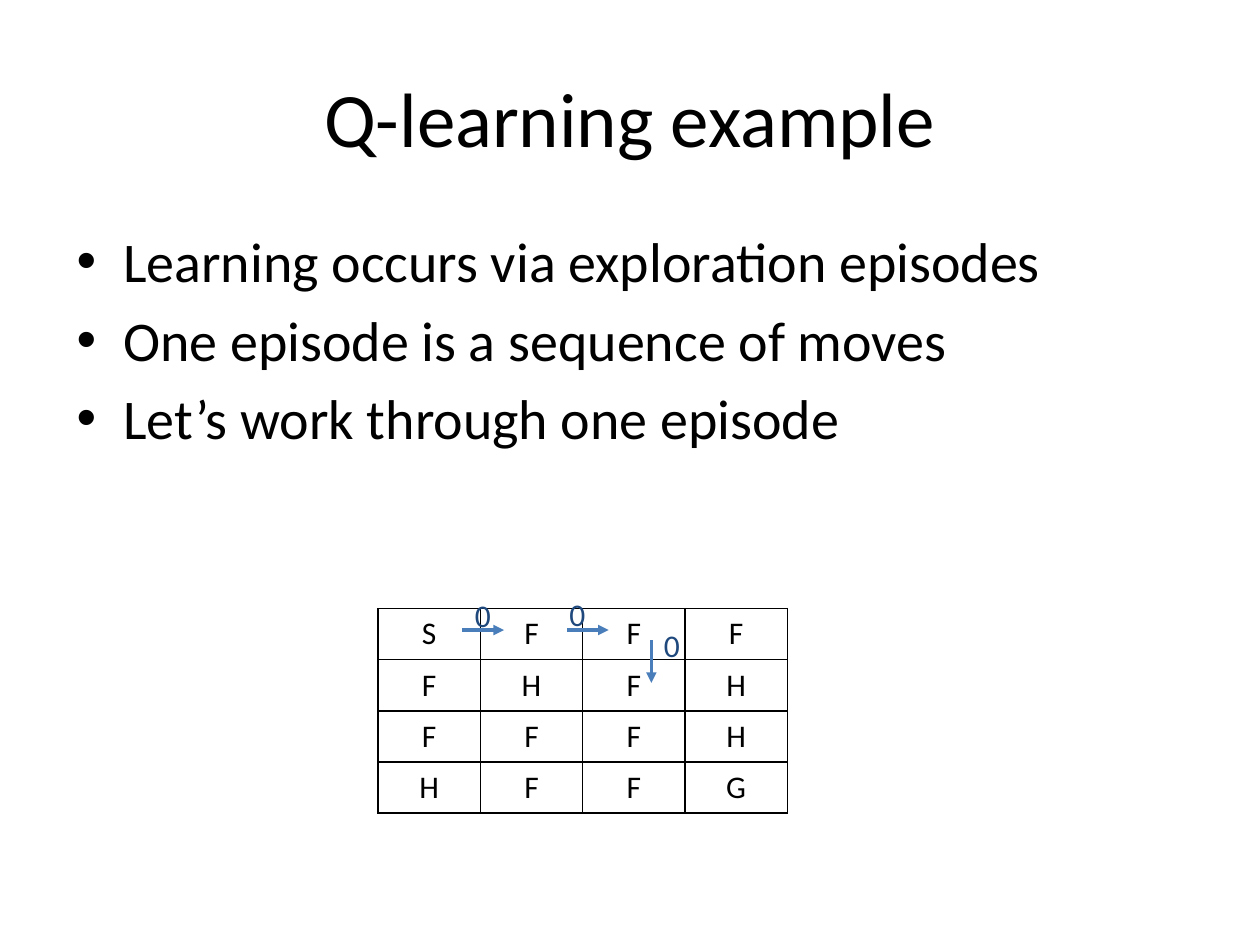
from pptx import Presentation
from pptx.dml.color import RGBColor
from pptx.enum.shapes import MSO_CONNECTOR
from pptx.enum.text import MSO_ANCHOR, PP_ALIGN
from pptx.oxml.ns import qn
from pptx.util import Inches, Pt
from lxml.etree import SubElement

TITLE = "Q-learning example"
POINTS = [
    "Learning occurs via exploration episodes",
    "One episode is a sequence of moves",
    "Let’s work through one episode",
]
GRID = ["SFFF", "FHFH", "FFFH", "HFFG"]
MOVES = [
    {"start": (3.67, 5), "end": (4, 5), "label": (3.67, 4.68), "value": "0"},
    {"start": (4.5, 5), "end": (4.83, 5), "label": (4.42, 4.67), "value": "0"},
    {"start": (5.17, 5.08), "end": (5.17, 5.42), "label": (5.17, 4.92), "value": "0"},
]
COLORS = {"ink": "000000", "arrow": "4A7EBB", "value": "1F497D"}
FONT = "Calibri"
LEFT, TOP, SIDE = 3, 4.83, 3.25


def color(name):
    return RGBColor.from_string(COLORS[name])


def write(frame, lines, size=18, ink="ink", align=PP_ALIGN.LEFT,
          anchor=MSO_ANCHOR.TOP, bullet=False):
    frame.word_wrap = True
    frame.vertical_anchor = anchor
    for i, line in enumerate(lines):
        para = frame.paragraphs[0] if i == 0 else frame.add_paragraph()
        para.alignment = align
        run = para.add_run()
        run.text = line
        run.font.name = FONT
        run.font.size = Pt(size)
        run.font.color.rgb = color(ink)
        if bullet:
            para.space_before = Pt(6.4)
            props = para._p.get_or_add_pPr()
            props.set("marL", str(Inches(0.38)))
            props.set("indent", str(Inches(-0.37)))
            SubElement(props, qn("a:buFont")).set("typeface", "Arial")
            SubElement(props, qn("a:buChar")).set("char", "•")


def border(cell):
    props = cell._tc.get_or_add_tcPr()
    for i, side in enumerate(("lnL", "lnR", "lnT", "lnB")):
        line = props.makeelement(qn("a:" + side), {"w": str(Pt(0.96))})
        fill = SubElement(line, qn("a:solidFill"))
        SubElement(fill, qn("a:srgbClr")).set("val", COLORS["ink"])
        props.insert(i, line)


def arrow(slide, start, end):
    ends = [Inches(v) for v in (*start, *end)]
    link = slide.shapes.add_connector(MSO_CONNECTOR.STRAIGHT, *ends)
    link.line.color.rgb = color("arrow")
    link.line.width = Pt(2)
    SubElement(link.line._get_or_add_ln(), qn("a:tailEnd")).set("type", "triangle")
    SubElement(link._element.spPr, qn("a:effectLst"))


def box(slide, left, top, width, height):
    place = [Inches(v) for v in (left, top, width, height)]
    return slide.shapes.add_textbox(*place).text_frame


def board(slide):
    count = len(GRID)
    frame = slide.shapes.add_table(count, count, Inches(LEFT), Inches(TOP),
                                   Inches(SIDE), Inches(SIDE / 2))
    table = frame.table
    table.first_row = table.horz_banding = False
    for r, row in enumerate(GRID):
        for c, mark in enumerate(row):
            cell = table.cell(r, c)
            cell.fill.background()
            border(cell)
            write(cell.text_frame, [mark], align=PP_ALIGN.CENTER)


def main():
    deck = Presentation()
    deck.slide_width, deck.slide_height = Inches(10), Inches(7.5)
    slide = deck.slides.add_slide(deck.slide_layouts[5])
    title = slide.shapes.title
    title.left, title.top = Inches(0.5), Inches(0.3)
    title.width, title.height = Inches(9), Inches(1.25)
    write(title.text_frame, [TITLE], size=44, align=PP_ALIGN.CENTER,
          anchor=MSO_ANCHOR.MIDDLE)
    write(box(slide, 0.5, 1.75, 9, 4.95), POINTS, size=32, bullet=True)
    board(slide)
    for move in MOVES:
        arrow(slide, move["start"], move["end"])
    for move in MOVES:
        write(box(slide, *move["label"], 0.33, 0.4), [move["value"]], ink="value")
    deck.save("out.pptx")


if __name__ == "__main__":
    main()
